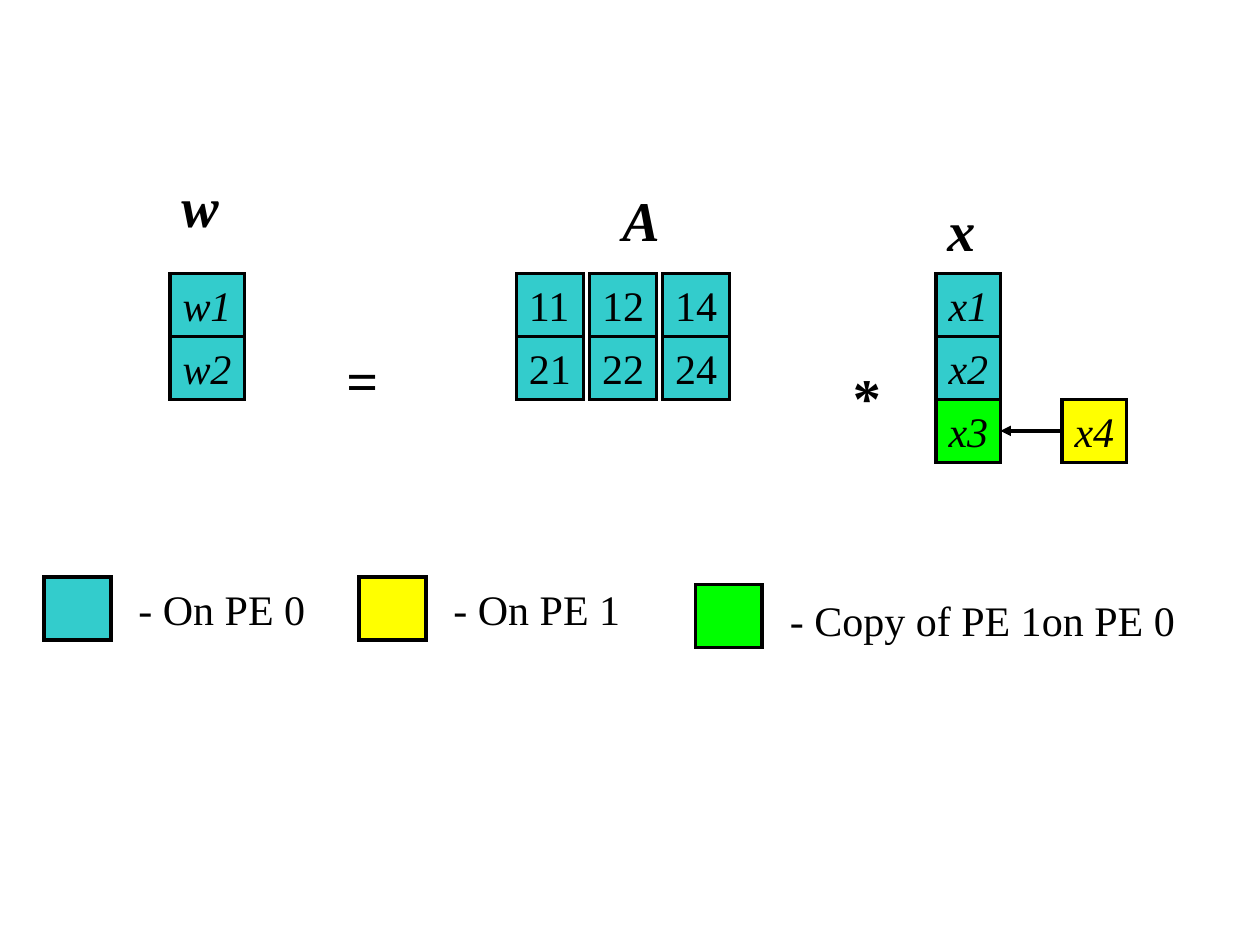
from lxml.etree import SubElement
from pptx import Presentation
from pptx.dml.color import RGBColor
from pptx.enum.shapes import MSO_CONNECTOR, MSO_SHAPE
from pptx.enum.text import MSO_ANCHOR, MSO_AUTO_SIZE, PP_ALIGN
from pptx.oxml.ns import qn
from pptx.util import Inches, Pt

FONT = "Times New Roman"
COLORS = {"pe0": "33CCCC", "pe1": "FFFF00", "copy": "00FF00", "ink": "000000"}
CELL_HEIGHT = 0.5
MATRIX_TOP = 2.17
MATRIX_LEFT, MATRIX_STEP, MATRIX_CELL = 4.1, 0.58, 0.53
SWATCH_WIDTH = 0.53

MATRIX = [["11", "12", "14"], ["21", "22", "24"]]
# left, top, cell width, cells from top to bottom
VECTORS = [
    (1.35, MATRIX_TOP, 0.59, [("w1", "pe0"), ("w2", "pe0")]),
    (7.43, MATRIX_TOP, 0.51, [("x1", "pe0"), ("x2", "pe0"), ("x3", "copy")]),
    (8.43, MATRIX_TOP + 2 * CELL_HEIGHT, 0.51, [("x4", "pe1")]),
]
# text, left, top, width, italic
SYMBOLS = [
    ("w", 1.34, 1.31, 0.49, True),
    ("A", 4.84, 1.42, 0.49, True),
    ("x", 7.42, 1.5, 0.42, True),
    ("=", 2.65, 2.69, 0.45, False),
    ("*", 6.67, 2.83, 0.42, False),
]
# text, colour, swatch left and top, text left, top and width
LEGEND = [
    ("- On PE 0", "pe0", 0.35, 4.58, 1, 4.58, 1.52),
    ("- On PE 1", "pe1", 2.85, 4.58, 3.5, 4.58, 1.52),
    ("- Copy of PE 1on PE 0", "copy", 5.52, 4.64, 6.17, 4.67, 3.25),
]


def color(name):
    return RGBColor.from_string(COLORS[name])


def write(shape, text, size=24, bold=False, italic=False):
    frame = shape.text_frame
    frame.text = text
    frame.word_wrap = False
    frame.auto_size = MSO_AUTO_SIZE.NONE
    frame.vertical_anchor = MSO_ANCHOR.TOP
    frame.margin_right = Inches(0.05)  # slack, so that tight labels stay on one line
    paragraph = frame.paragraphs[0]
    paragraph.alignment = PP_ALIGN.LEFT
    font = paragraph.runs[0].font
    font.name, font.size = FONT, Pt(size)
    font.bold, font.italic = bold, italic
    font.color.rgb = color("ink")


def add_label(slide, text, left, top, width, height, **style):
    box = slide.shapes.add_textbox(*map(Inches, (left, top, width, height)))
    write(box, text, **style)


def draw_line(line):
    line.color.rgb = color("ink")
    line.width = Pt(2)
    outline = line._get_or_add_ln()
    SubElement(outline, qn("a:miter"), lim="800000")
    return outline


def add_cell(slide, left, top, width, fill, text="", italic=False):
    cell = slide.shapes.add_shape(
        MSO_SHAPE.RECTANGLE, *map(Inches, (left, top, width, CELL_HEIGHT)))
    cell.shadow.inherit = False
    cell.fill.solid()
    cell.fill.fore_color.rgb = color(fill)
    draw_line(cell.line)
    if text:
        write(cell, text, italic=italic)
    return cell


def add_arrow(slide, source, target):
    """Join the left side of source to the right side of target."""
    arrow = slide.shapes.add_connector(MSO_CONNECTOR.STRAIGHT, 0, 0, 0, 0)
    arrow.begin_connect(source, 1)
    arrow.end_connect(target, 3)
    SubElement(draw_line(arrow.line), qn("a:tailEnd"), type="triangle")
    SubElement(arrow._element.spPr, qn("a:effectLst"))


def main():
    presentation = Presentation()
    presentation.slide_width, presentation.slide_height = Inches(10), Inches(7.5)
    slide = presentation.slides.add_slide(presentation.slide_layouts[6])

    for row, values in enumerate(MATRIX):
        for column, value in enumerate(values):
            add_cell(slide, MATRIX_LEFT + column * MATRIX_STEP,
                     MATRIX_TOP + row * CELL_HEIGHT, MATRIX_CELL, "pe0", value)

    vector_cells = {}
    for left, top, width, entries in VECTORS:
        for row, (text, fill) in enumerate(entries):
            vector_cells[text] = add_cell(
                slide, left, top + row * CELL_HEIGHT, width, fill, text, italic=True)
    add_arrow(slide, vector_cells["x4"], vector_cells["x3"])

    for text, left, top, width, italic in SYMBOLS:
        add_label(slide, text, left, top, width, 0.64, size=32, bold=True, italic=italic)

    for text, fill, swatch_left, swatch_top, left, top, width in LEGEND:
        add_cell(slide, swatch_left, swatch_top, SWATCH_WIDTH, fill)
        add_label(slide, text, left, top, width, CELL_HEIGHT)

    presentation.save("out.pptx")


if __name__ == "__main__":
    main()
